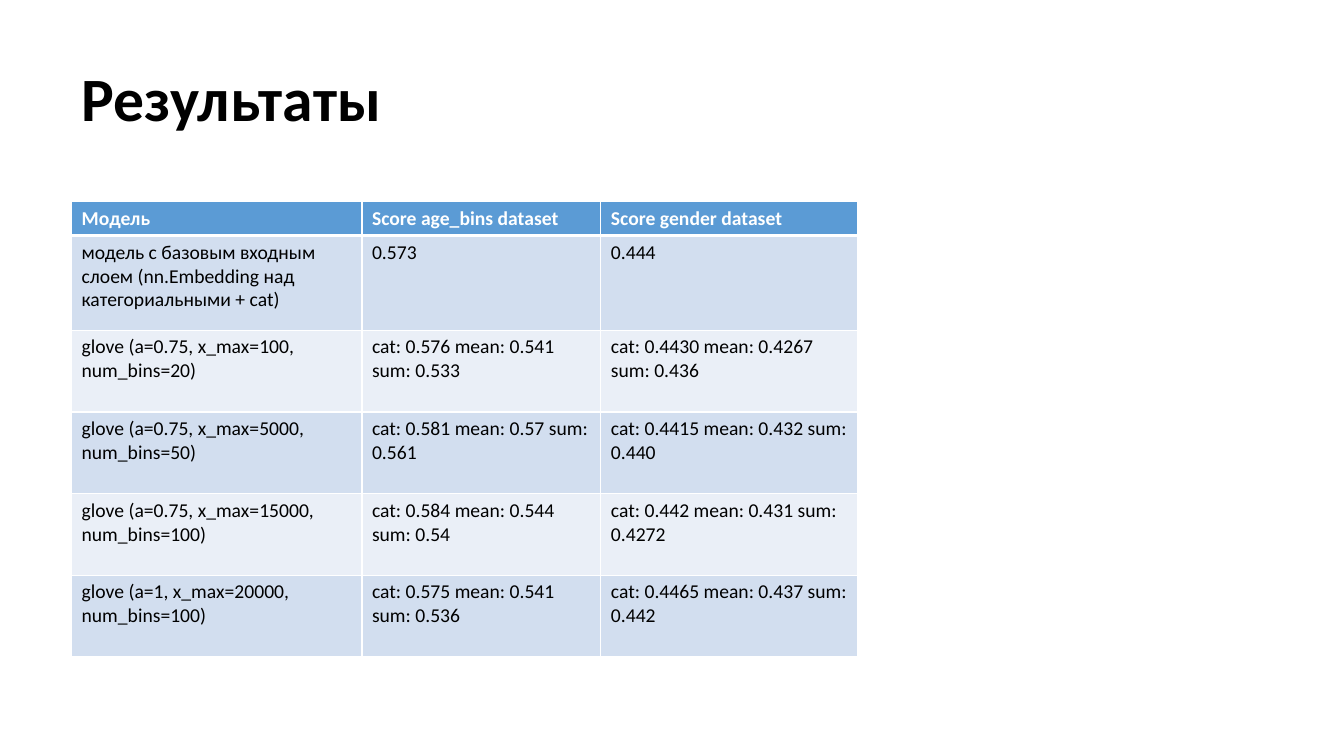
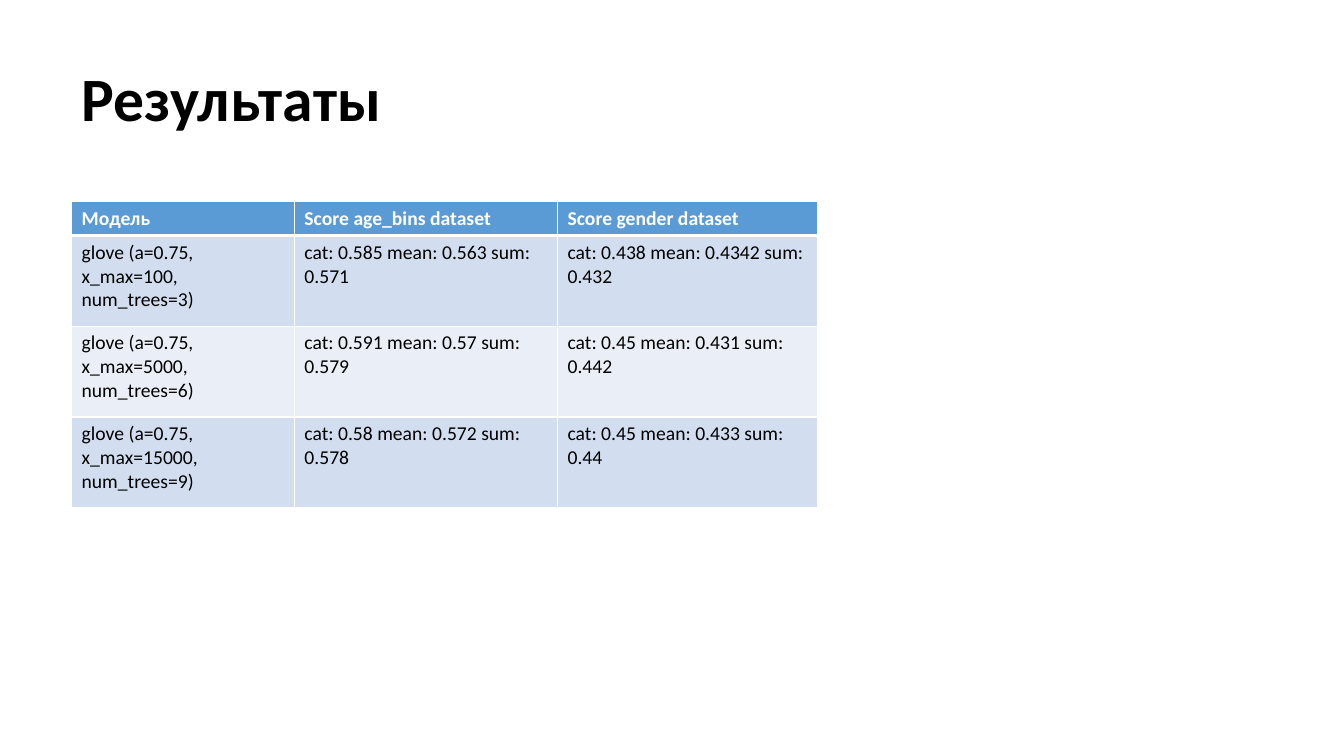
from dataclasses import dataclass

from lxml.etree import SubElement
from pptx import Presentation
from pptx.dml.color import RGBColor
from pptx.enum.text import MSO_ANCHOR, MSO_AUTO_SIZE, PP_ALIGN
from pptx.oxml.ns import qn
from pptx.slide import Slide
from pptx.table import _Cell as Cell
from pptx.text.text import _Paragraph as Paragraph
from pptx.util import Inches, Pt

# Shared look
FONT = "Calibri"
BLACK, WHITE = "000000", "FFFFFF"
HEADER_FILL = "5B9BD5"
BAND_FILLS = ("D2DEEF", "EAEFF7")
LEFT, TABLE_TOP = 0.71, 2.0
HEADER_HEIGHT = 0.33
THIN, THICK = 1, 3

TITLE = "Результаты"
HEADER = ("Модель", "Score age_bins dataset", "Score gender dataset")


@dataclass(frozen=True)
class ResultsTable:
    column_widths: tuple[float, ...]
    row_heights: tuple[float, ...]
    rows: tuple[tuple[str, ...], ...]


RESULTS = (
    ResultsTable(
        column_widths=(2.88, 2.37, 2.55),
        row_heights=(0.94, 0.81, 0.81, 0.81, 0.81),
        rows=(
            ("модель с базовым входным слоем (nn.Embedding над категориальными + cat)",
             "0.573", "0.444"),
            ("glove (a=0.75, x_max=100, num_bins=20)",
             "cat: 0.576 mean: 0.541 sum: 0.533", "cat: 0.4430 mean: 0.4267 sum: 0.436"),
            ("glove (a=0.75, x_max=5000, num_bins=50)",
             "cat: 0.581 mean: 0.57 sum: 0.561", "cat: 0.4415 mean: 0.432 sum: 0.440"),
            ("glove (a=0.75, x_max=15000, num_bins=100)",
             "cat: 0.584 mean: 0.544 sum: 0.54", "cat: 0.442 mean: 0.431 sum: 0.4272"),
            ("glove (a=1, x_max=20000, num_bins=100)",
             "cat: 0.575 mean: 0.541 sum: 0.536", "cat: 0.4465 mean: 0.437 sum: 0.442"),
        ),
    ),
    ResultsTable(
        column_widths=(2.21, 2.61, 2.58),
        row_heights=(0.9, 0.9, 0.9),
        rows=(
            ("glove (a=0.75, x_max=100, num_trees=3)",
             "cat: 0.585 mean: 0.563 sum: 0.571", "cat: 0.438 mean: 0.4342 sum: 0.432"),
            ("glove (a=0.75, x_max=5000, num_trees=6)",
             "cat: 0.591 mean: 0.57 sum: 0.579", "cat: 0.45 mean: 0.431 sum: 0.442"),
            ("glove (a=0.75, x_max=15000, num_trees=9)",
             "cat: 0.58 mean: 0.572 sum: 0.578", "cat: 0.45 mean: 0.433 sum: 0.44"),
        ),
    ),
)


def rgb(color: str) -> RGBColor:
    return RGBColor.from_string(color)


def style_paragraph(paragraph: Paragraph, size: float, color: str, bold: bool) -> None:
    paragraph.alignment = PP_ALIGN.LEFT
    font = paragraph.font
    font.name, font.size, font.bold = FONT, Pt(size), bold
    font.color.rgb = rgb(color)


def add_title(slide: Slide) -> None:
    title = slide.shapes.title
    title.left, title.top = Inches(LEFT), Inches(0.28)
    title.width, title.height = Inches(11.5), Inches(1.45)
    frame = title.text_frame
    frame.text = TITLE
    frame.auto_size = MSO_AUTO_SIZE.NONE
    frame.vertical_anchor = MSO_ANCHOR.MIDDLE
    paragraph = frame.paragraphs[0]
    paragraph.line_spacing = 0.9
    style_paragraph(paragraph, 44, BLACK, True)


def set_borders(cell: Cell, top: float, bottom: float) -> None:
    properties = cell._tc.get_or_add_tcPr()
    for side, width in (("L", THIN), ("R", THIN), ("T", top), ("B", bottom)):
        line = SubElement(properties, qn(f"a:ln{side}"), w=str(Pt(width)))
        fill = SubElement(line, qn("a:solidFill"))
        SubElement(fill, qn("a:srgbClr"), val=WHITE)


def format_cell(cell: Cell, text: str, row_index: int) -> None:
    is_header = row_index == 0
    cell.text = text
    style_paragraph(cell.text_frame.paragraphs[0], 14, WHITE if is_header else BLACK, is_header)
    # The thick rule lies between the header and the first body row
    set_borders(cell, THICK if row_index == 1 else THIN, THICK if is_header else THIN)
    cell.fill.solid()
    cell.fill.fore_color.rgb = rgb(HEADER_FILL if is_header else BAND_FILLS[(row_index - 1) % 2])


def add_results_table(slide: Slide, results: ResultsTable) -> None:
    rows = (HEADER, *results.rows)
    heights = (HEADER_HEIGHT, *results.row_heights)
    table = slide.shapes.add_table(
        len(rows), len(HEADER), Inches(LEFT), Inches(TABLE_TOP),
        Inches(sum(results.column_widths)), Inches(sum(heights)),
    ).table
    for column, width in zip(table.columns, results.column_widths):
        column.width = Inches(width)
    for row_index, (texts, height) in enumerate(zip(rows, heights)):
        table.rows[row_index].height = Inches(height)
        for column_index, text in enumerate(texts):
            format_cell(table.cell(row_index, column_index), text, row_index)


def main() -> None:
    presentation = Presentation()
    presentation.slide_width, presentation.slide_height = Inches(13.33), Inches(7.5)
    title_only = presentation.slide_layouts[5]
    for results in RESULTS:
        slide = presentation.slides.add_slide(title_only)
        add_title(slide)
        add_results_table(slide, results)
    presentation.save("out.pptx")


if __name__ == "__main__":
    main()
